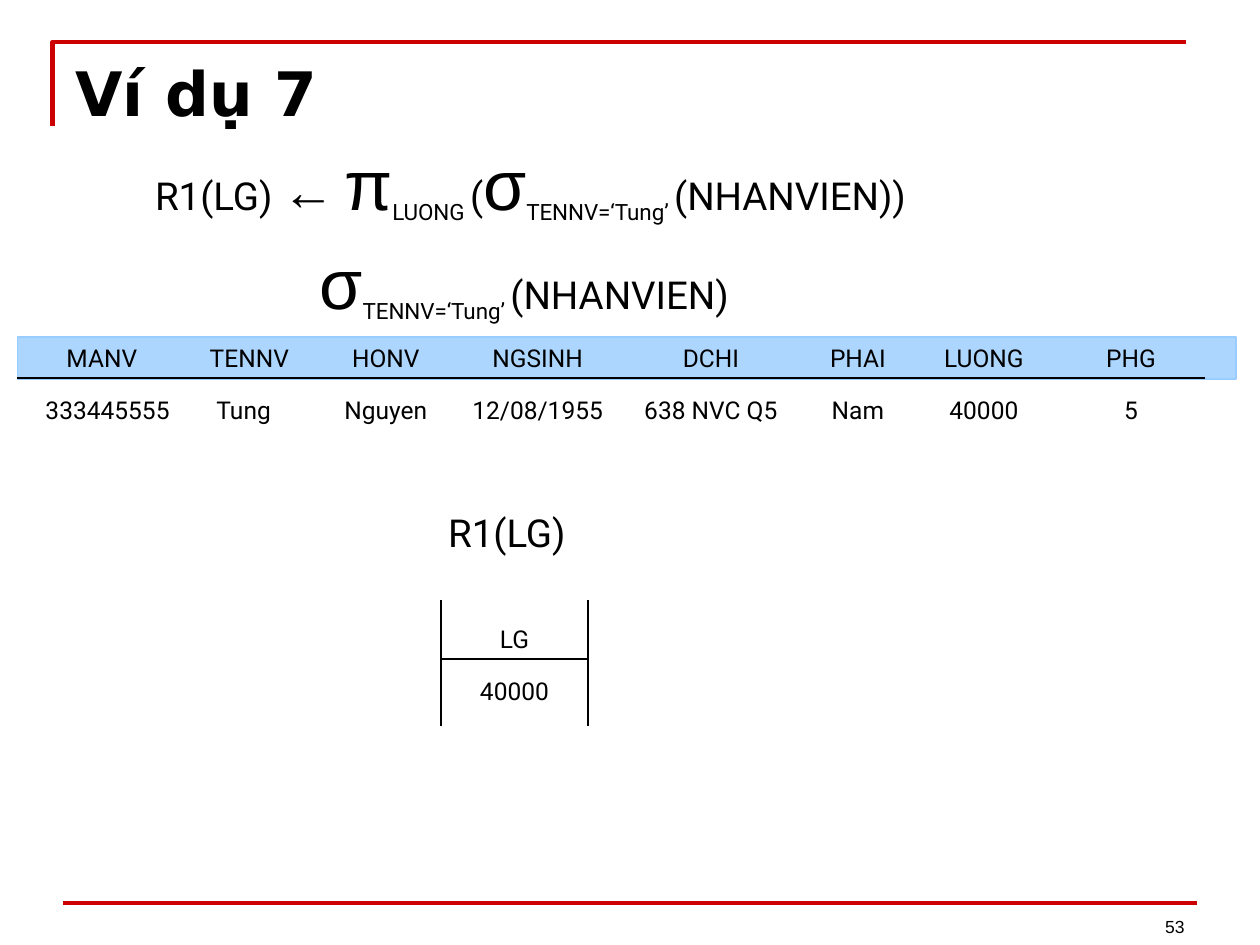
from lxml.etree import SubElement
from pptx import Presentation
from pptx.dml.color import RGBColor
from pptx.enum.shapes import MSO_CONNECTOR, MSO_SHAPE
from pptx.enum.text import MSO_ANCHOR, MSO_AUTO_SIZE, PP_ALIGN
from pptx.oxml.ns import qn
from pptx.util import Pt

COLORS = {name: RGBColor.from_string(value) for name, value in {
    "accent": "CC0000", "text": "000000", "band": "99CCFF"}.items()}

presentation = Presentation()
presentation.slide_width, presentation.slide_height = Pt(720), Pt(540)
slide = presentation.slides.add_slide(presentation.slide_layouts[5])


def add_text(left, top, width, height, runs, align=PP_ALIGN.LEFT):
    """Runs are (text, size, font) with an optional baseline shift."""
    box = slide.shapes.add_textbox(Pt(left), Pt(top), Pt(width), Pt(height))
    frame = box.text_frame
    frame.word_wrap = True
    frame.auto_size = MSO_AUTO_SIZE.SHAPE_TO_FIT_TEXT
    paragraph = frame.paragraphs[0]
    paragraph.alignment = align
    for text, size, font, *baseline in runs:
        run = paragraph.add_run()
        run.text = text
        run.font.size = Pt(size)
        run.font.name = font
        run.font.color.rgb = COLORS["text"]
        if baseline:
            run._r.get_or_add_rPr().set("baseline", str(baseline[0]))
    return frame


def add_rule(x1, y1, x2, y2, color="text", weight=1):
    rule = slide.shapes.add_connector(
        MSO_CONNECTOR.STRAIGHT, Pt(x1), Pt(y1), Pt(x2), Pt(y2))
    rule.line.color.rgb = COLORS[color]
    rule.line.width = Pt(weight)
    SubElement(rule._element.spPr, qn("a:effectLst"))


# Red corner above the title and red rule at the foot
builder = slide.shapes.build_freeform(Pt(30), Pt(72))
builder.add_line_segments([(Pt(30), Pt(24)), (Pt(678), Pt(24))], close=False)
corner = builder.convert_to_shape()
corner.shadow.inherit = False
corner.fill.background()
corner.line.color.rgb = COLORS["accent"]
corner.line.width = Pt(2.5)
add_rule(36, 516, 684, 516, "accent", 2)

# Slide number
number = add_text(516, 503, 168, 36, [("53", 10, "Arial")], PP_ALIGN.RIGHT)
number.auto_size = MSO_AUTO_SIZE.NONE
number.vertical_anchor = MSO_ANCHOR.BOTTOM

# Title
title = slide.shapes.title
title.left, title.top, title.width, title.height = Pt(36), Pt(28), Pt(672), Pt(49)
title.text_frame.vertical_anchor = MSO_ANCHOR.BOTTOM
heading = title.text_frame.paragraphs[0]
heading.alignment = PP_ALIGN.LEFT
heading_run = heading.add_run()
heading_run.text = "Ví dụ 7"
heading_run.font.size = Pt(35)
heading_run.font.name = "DejaVu Sans"
heading_run.font.bold = True
heading_run.font.color.rgb = COLORS["text"]

# Relational algebra expressions
selection = [("σ", 40, "Arial"), ("TENNV=‘Tung’ ", 22, "Roboto", -25000)]
add_text(81.5, 77, 558, 55.5, [
    ("R1(LG) ", 22, "Roboto"), ("←", 30, "Arial"), (" ", 22, "Roboto"),
    ("π", 40, "Arial"), ("LUONG ", 22, "Roboto", -25000), ("(", 22, "Roboto"),
    *selection, ("(NHANVIEN))", 22, "Roboto")])
add_text(175.5, 133.5, 294, 55.5, [*selection, ("(NHANVIEN)", 22, "Roboto")])
add_text(249, 287.5, 84, 34, [("R1(LG)", 22, "Roboto")])

# Header band of the selection result
band = slide.shapes.add_shape(
    MSO_SHAPE.RECTANGLE, Pt(10), Pt(192.75), Pt(696.5), Pt(23.75))
band.shadow.inherit = False
band.fill.solid()
band.fill.fore_color.rgb = COLORS["band"]
band_color = band._element.spPr.find(qn("a:solidFill"))[0]
SubElement(band_color, qn("a:alpha")).set("val", "80000")
band.line.color.rgb = COLORS["band"]
band.line.width = Pt(1)
add_rule(10, 216, 688.5, 216)

# Rows of both results: top, then (text, left, width) per cell
shared_columns = [(178.5, 84), (262.25, 90), (352.25, 108),
                  (460.25, 60), (520.25, 84), (604.25, 84)]
names = ["HONV", "NGSINH", "DCHI", "PHAI", "LUONG", "PHG"]
values = ["Nguyen", "12/08/1955", "638 NVC Q5", "Nam", "40000", "5"]
rows = [
    (192.25, [("MANV", 22.25, 72), ("TENNV", 106.5, 72),
              *((name, *span) for name, span in zip(names, shared_columns))]),
    (222, [("333445555", 16.5, 90), ("Tung", 100.25, 78),
           *((value, *span) for value, span in zip(values, shared_columns))]),
    (353, [("LG", 252, 84)]),
    (383, [("40000", 252, 84)]),
]
for top, cells in rows:
    for text, left, width in cells:
        add_text(left, top, width, 24.5, [(text, 14, "Roboto")], PP_ALIGN.CENTER)

# Frame of the LG result
add_rule(252, 376.75, 336, 376.75)
for x in (252, 336):
    add_rule(x, 343, x, 415)

presentation.save("out.pptx")
